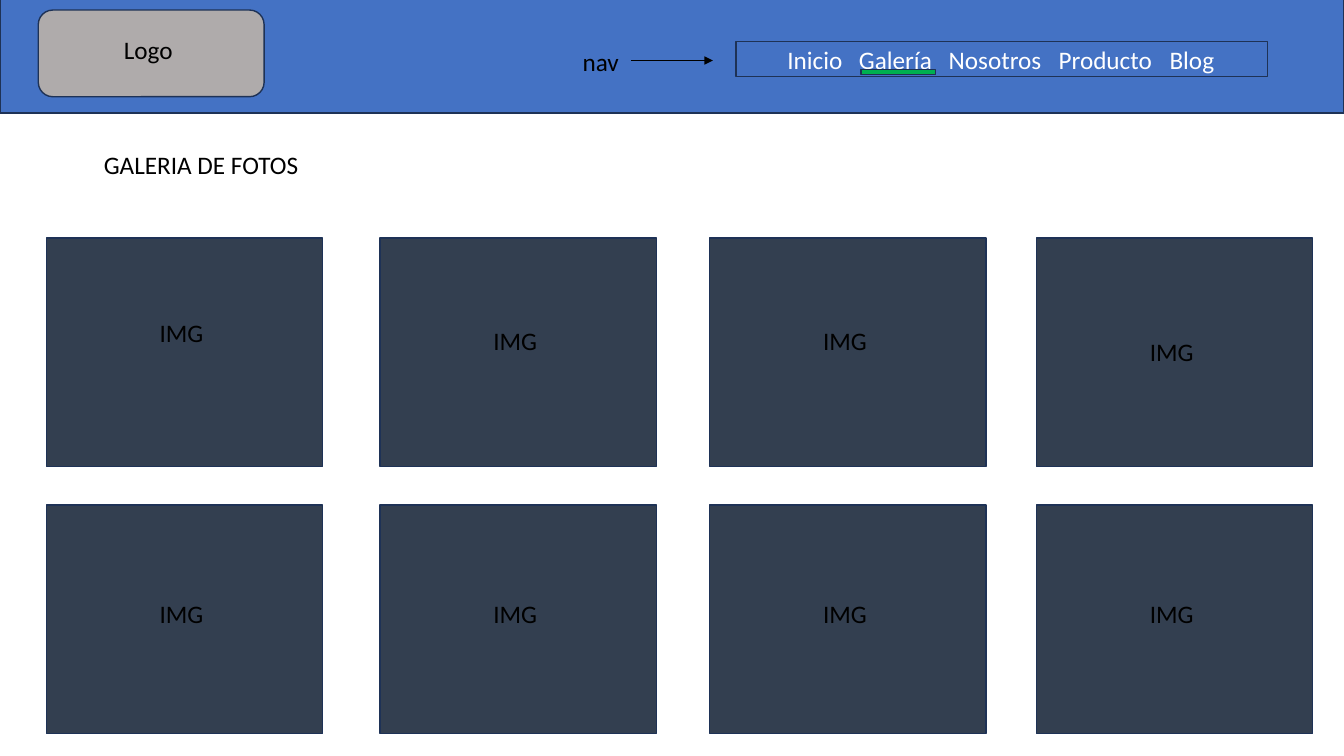
from lxml import etree
from pptx import Presentation
from pptx.dml.color import RGBColor
from pptx.enum.shapes import MSO_CONNECTOR, MSO_SHAPE
from pptx.enum.text import MSO_ANCHOR, MSO_AUTO_SIZE, PP_ALIGN
from pptx.oxml.ns import qn
from pptx.util import Inches, Pt

RECT, ROUNDED = MSO_SHAPE.RECTANGLE, MSO_SHAPE.ROUNDED_RECTANGLE
LEFT, CENTER = PP_ALIGN.LEFT, PP_ALIGN.CENTER
TOP, MIDDLE = MSO_ANCHOR.TOP, MSO_ANCHOR.MIDDLE

BLUE = RGBColor(0x44, 0x72, 0xC4)
NAVY = RGBColor(0x1E, 0x32, 0x56)
SLATE = RGBColor(0x33, 0x3F, 0x50)
GRAY = RGBColor(0xAF, 0xAB, 0xAB)
GREEN = RGBColor(0x00, 0xB0, 0x50)
BLACK = RGBColor(0, 0, 0)
WHITE = RGBColor(0xFF, 0xFF, 0xFF)

# Content
HEADING = "GALERIA DE FOTOS"
LOGO_TEXT, NAV_TEXT, PHOTO_TEXT = "Logo", "nav", "IMG"
MENU = [("Inicio", 0), ("Galería", 0.71), ("Nosotros", 1.6),
        ("Producto", 2.69), ("Blog", 3.79)]  # word, offset from first word
MENU_INDENT = 0.51
PHOTO_LEFTS = [0.46, 3.77, 7.04, 10.28]
PHOTO_ROWS = [(2.36, [3.1, 3.18, 3.18, 3.29]),
              (5.01, [5.89] * 4)]  # photo top, label tops
PHOTO_W, PHOTO_H = 2.74, 2.27
LABEL_W, LABEL_H = 0.69, 0.4

deck = Presentation()
deck.slide_width, deck.slide_height = Inches(13.33), Inches(7.5)
slide = deck.slides.add_slide(deck.slide_layouts[5])


def write(holder, text, color=BLACK, align=LEFT, anchor=TOP, indent=0.1):
    frame = holder.text_frame
    frame.word_wrap = True
    frame.auto_size = MSO_AUTO_SIZE.NONE
    frame.vertical_anchor = anchor
    frame.margin_left = Inches(indent)
    frame.margin_right = Inches(0.1)
    frame.margin_top = frame.margin_bottom = Inches(0.05)
    paragraph = frame.paragraphs[0]
    paragraph.alignment = align
    run = paragraph.add_run()
    run.text = text
    run.font.name, run.font.size = "Calibri", Pt(18)
    run.font.color.rgb = color
    return paragraph


def add_block(left, top, width, height, fill, preset=RECT):
    block = slide.shapes.add_shape(
        preset, Inches(left), Inches(top), Inches(width), Inches(height))
    block.shadow.inherit = False
    block.fill.solid()
    block.fill.fore_color.rgb = fill
    block.line.color.rgb = NAVY
    block.line.width = Pt(1)
    return block


def add_label(left, top, width, text, align=LEFT):
    label = slide.shapes.add_textbox(
        Inches(left), Inches(top), Inches(width), Inches(LABEL_H))
    write(label, text, align=align)


# Header band and menu, with one tab stop per word
add_block(0, -0.05, 13.33, 1.17, BLUE)
menu = add_block(7.3, 0.41, 5.27, 0.35, BLUE)
menu_line = write(menu, "\t".join(word for word, _ in MENU),
                  color=WHITE, anchor=MIDDLE, indent=MENU_INDENT)
tab_list = etree.SubElement(menu_line._p.get_or_add_pPr(), qn("a:tabLst"))
for _, offset in MENU[1:]:
    etree.SubElement(tab_list, qn("a:tab"), pos=str(Inches(offset)), algn="l")

# Nav label and arrow
add_label(5.68, 0.41, 0.58, NAV_TEXT)
arrow = slide.shapes.add_connector(
    MSO_CONNECTOR.STRAIGHT, Inches(6.26), Inches(0.6), Inches(7.07), Inches(0.6))
arrow.line.color.rgb = BLACK
arrow.line.width = Pt(1)
etree.SubElement(arrow.line._get_or_add_ln(), qn("a:tailEnd"), type="triangle")
etree.SubElement(arrow._element.spPr, qn("a:effectLst"))

# Logo and marker of the active menu entry
add_block(0.38, 0.1, 2.24, 0.86, GRAY, ROUNDED)
add_label(0.56, 0.29, 1.82, LOGO_TEXT, align=CENTER)
add_block(8.54, 0.69, 0.74, 0.05, GREEN)

# Heading
heading = slide.shapes.title
heading.left, heading.top = Inches(0.93), Inches(1.43)
heading.width, heading.height = Inches(2.17), Inches(LABEL_H)
write(heading, HEADING)

# Photo grid
for photo_top, label_tops in PHOTO_ROWS:
    for photo_left, label_top in zip(PHOTO_LEFTS, label_tops):
        add_block(photo_left, photo_top, PHOTO_W, PHOTO_H, SLATE)
        add_label(photo_left + (PHOTO_W - LABEL_W) / 2, label_top,
                  LABEL_W, PHOTO_TEXT)

deck.save("out.pptx")
